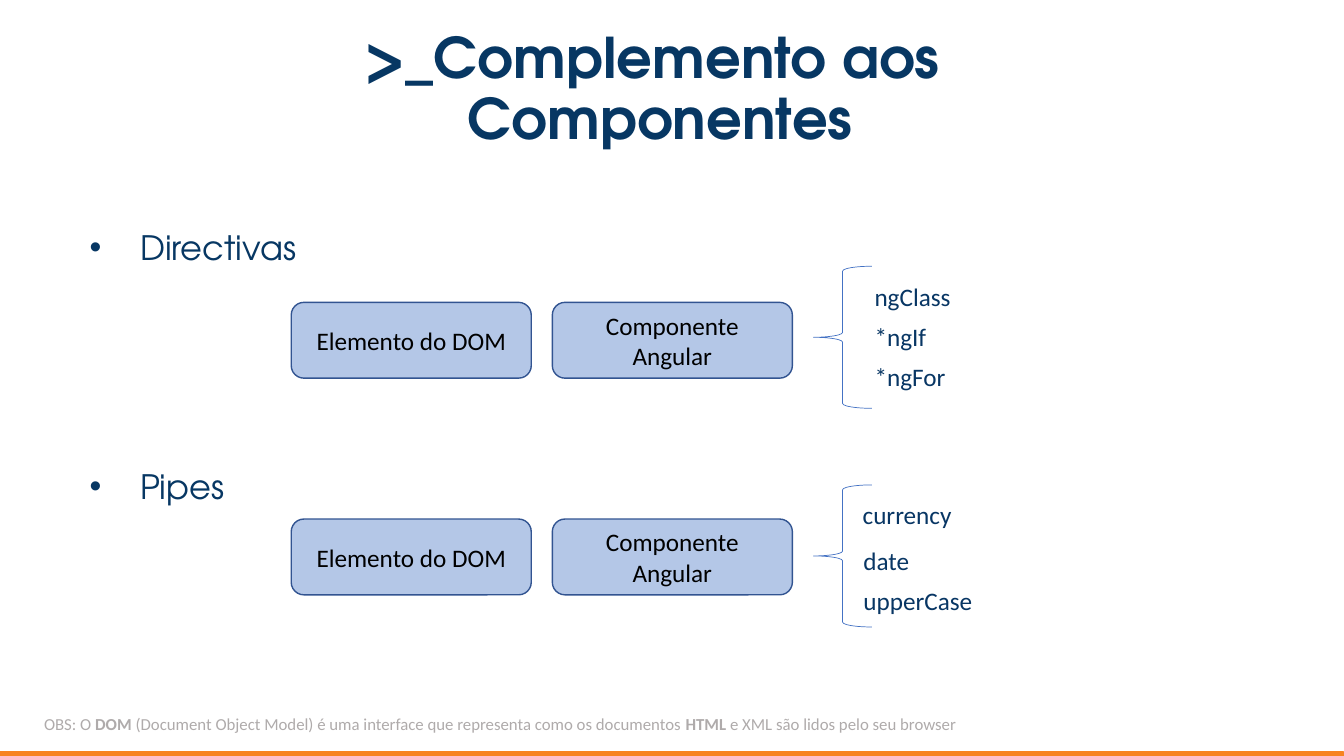
"""Builds the slide on Angular directives and pipes."""
from lxml import etree
from pptx import Presentation
from pptx.dml.color import RGBColor
from pptx.enum.shapes import MSO_SHAPE
from pptx.enum.text import MSO_ANCHOR, MSO_AUTO_SIZE, PP_ALIGN
from pptx.oxml.ns import qn
from pptx.util import Cm, Pt

RECTANGLE = MSO_SHAPE.RECTANGLE
ROUNDED = MSO_SHAPE.ROUNDED_RECTANGLE
BRACE = MSO_SHAPE.LEFT_BRACE
MIDDLE = MSO_ANCHOR.MIDDLE
CENTER = PP_ALIGN.CENTER
FIT_SHAPE = MSO_AUTO_SIZE.SHAPE_TO_FIT_TEXT

NAVY = RGBColor(0x07, 0x37, 0x63)
ITEM_NAVY = RGBColor(0x08, 0x36, 0x64)
ORANGE = RGBColor(0xF7, 0x83, 0x21)
LIGHT_BLUE = RGBColor(0xB4, 0xC7, 0xE7)
BOX_EDGE = RGBColor(0x32, 0x54, 0x91)
BRACE_BLUE = RGBColor(0x44, 0x72, 0xC4)
GRAY = RGBColor(0xAF, 0xAB, 0xAB)
BLACK = RGBColor(0, 0, 0)

HEADING_FONT = "TeX Gyre Adventor"
BODY_FONT = "Calibri"

SECTIONS = [
    ("Directivas", 4.88, 7.62, 6.71,
     [("ngClass", 21.79, 6.96, 2.44),
      ("*ngIf", 21.79, 7.98, 1.83),
      ("*ngFor", 21.79, 8.99, 2.31)]),
    ("Pipes", 10.9, 13.08, 12.22,
     [("currency", 21.49, 12.45, 2.77),
      ("date", 21.51, 13.61, 1.68),
      ("upperCase", 21.51, 14.63, 3.3)]),
]
BOXES = [("Elemento do DOM", 7.34), ("Componente Angular", 13.92)]
NOTE = [
    ("OBS: O ", False),
    ("DOM", True),
    (" (Document Object Model) é uma interface que representa como os documentos ", False),
    ("HTML", True),
    (" e XML são lidos pelo seu browser", False),
]


def add_outline(page, kind, left, top, width, height, edge, weight, fill=None):
    shape = page.shapes.add_shape(kind, Cm(left), Cm(top), Cm(width), Cm(height))
    shape.shadow.inherit = False
    shape.line.color.rgb = edge
    shape.line.width = Pt(weight)
    if fill is None:
        shape.fill.background()
    else:
        shape.fill.solid()
        shape.fill.fore_color.rgb = fill
    return shape


def add_text(page, left, top, width, height, inset=None):
    frame = page.shapes.add_textbox(Cm(left), Cm(top), Cm(width), Cm(height)).text_frame
    frame.word_wrap = inset is not None
    if inset is None:
        frame.auto_size = FIT_SHAPE
    else:
        frame.margin_left = frame.margin_right = Cm(inset)
        frame.margin_top = frame.margin_bottom = Cm(inset)
    return frame


deck = Presentation()
deck.slide_width, deck.slide_height = Cm(33.87), Cm(19.05)
page = deck.slides.add_slide(deck.slide_layouts[6])

add_outline(page, RECTANGLE, 0, 18.95, 33.87, 0.13, ORANGE, 0.75, ORANGE)

for heading, heading_top, box_top, brace_top, items in SECTIONS:
    para = add_text(page, 1.32, heading_top, 19.56, 2.18, 0.33).paragraphs[0]
    para.text = heading
    para.line_spacing = 1.5
    properties = para._p.get_or_add_pPr()
    properties.set("marL", str(Cm(1.88)))
    properties.set("indent", str(-Cm(1.27)))
    bullet_color = etree.SubElement(properties, qn("a:buClr"))
    etree.SubElement(bullet_color, qn("a:srgbClr"), val=str(NAVY))
    etree.SubElement(properties, qn("a:buFont"), typeface="Arial")
    etree.SubElement(properties, qn("a:buChar"), char="•")
    para.font.name, para.font.size = HEADING_FONT, Pt(24)
    para.font.color.rgb = NAVY

    for label, left in BOXES:
        box = add_outline(page, ROUNDED, left, box_top, 6.05, 1.91, BOX_EDGE, 1, LIGHT_BLUE)
        box.text_frame.word_wrap = True
        box.text_frame.vertical_anchor = MIDDLE
        para = box.text_frame.paragraphs[0]
        para.text = label
        para.alignment = CENTER
        para.font.name, para.font.size = BODY_FONT, Pt(18)
        para.font.color.rgb = BLACK

    add_outline(page, BRACE, 20.5, brace_top, 1.47, 3.58, BRACE_BLUE, 0.5)
    for item, left, top, width in items:
        para = add_text(page, left, top, width, 1.02).paragraphs[0]
        para.text = item
        para.font.name, para.font.size = BODY_FONT, Pt(18)
        para.font.color.rgb = ITEM_NAVY

title = add_text(page, 0.86, 0.84, 31.55, 2.9, 0.25)
title.vertical_anchor = MIDDLE
title.text = ">_Complemento aos \nComponentes"
for para in title.paragraphs:
    para.alignment = CENTER
    para.line_spacing = 0.9
    para.font.name, para.font.size, para.font.bold = HEADING_FONT, Pt(40), True
    para.font.color.rgb = NAVY

para = add_text(page, 0.86, 17.86, 23.77, 0.76).paragraphs[0]
para.font.name, para.font.size = BODY_FONT, Pt(12)
para.font.color.rgb = GRAY
for words, bold in NOTE:
    span = para.add_run()
    span.text = words
    span.font.bold = bold

deck.save("out.pptx")
